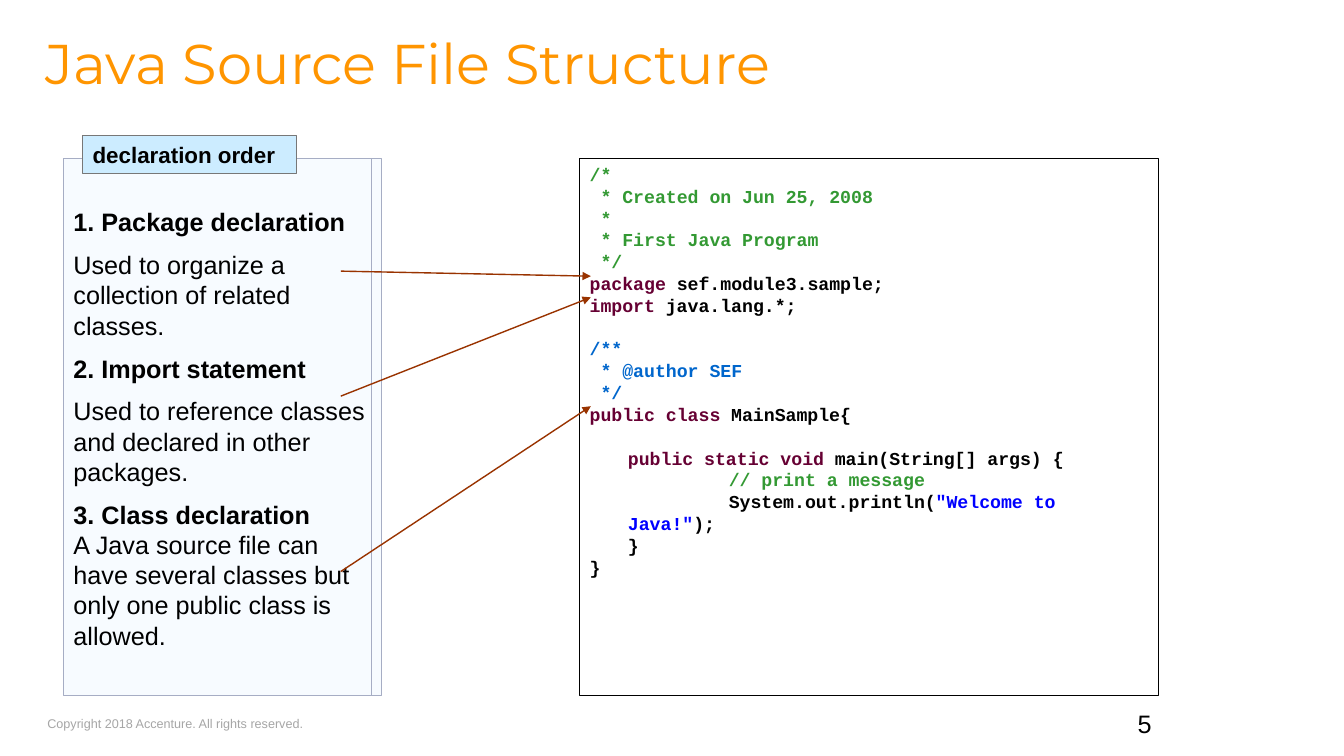
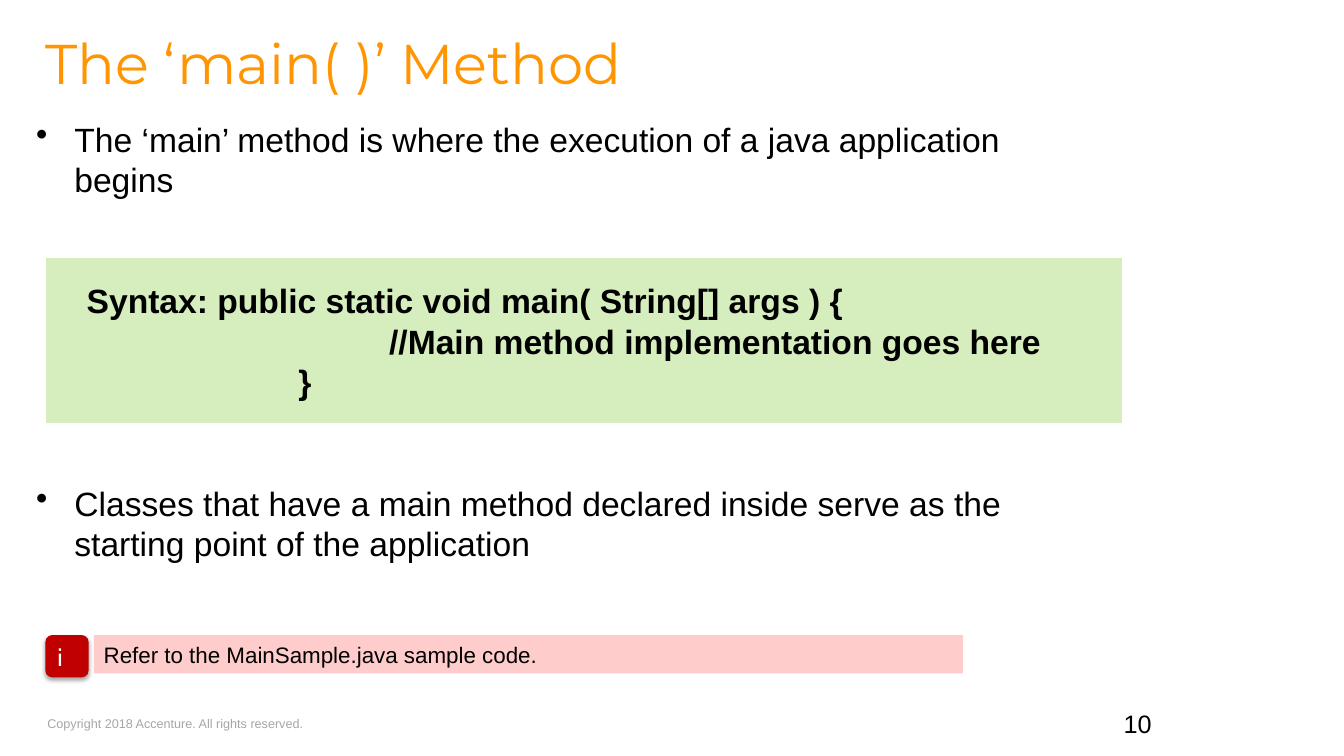
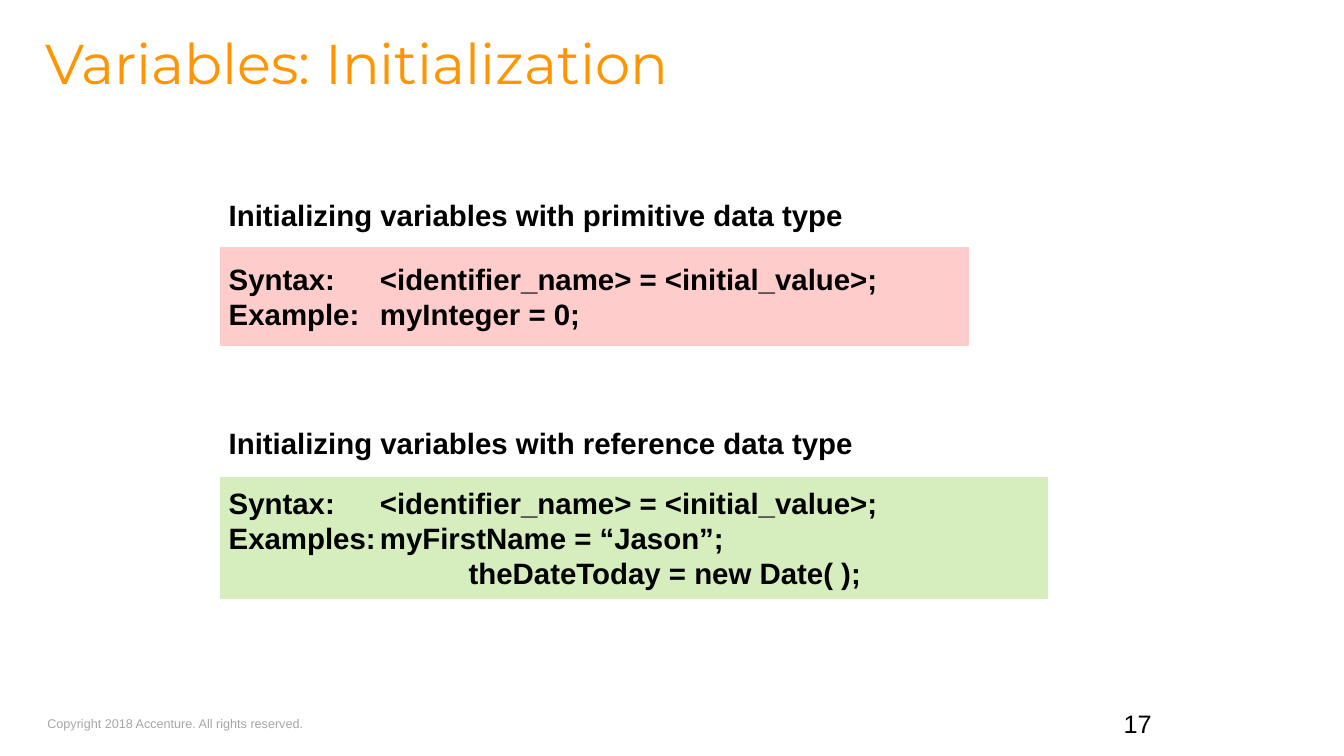
from pptx import Presentation
from pptx.dml.color import RGBColor
from pptx.enum.shapes import MSO_CONNECTOR, MSO_SHAPE
from pptx.enum.text import MSO_ANCHOR, PP_ALIGN
from pptx.oxml.ns import qn
from pptx.util import Inches, Pt
from lxml import etree

RECT = MSO_SHAPE.RECTANGLE
ROUNDED = MSO_SHAPE.ROUNDED_RECTANGLE
CALLOUT = MSO_SHAPE.LINE_CALLOUT_1_BORDER_AND_ACCENT_BAR
STRAIGHT = MSO_CONNECTOR.STRAIGHT
TOP, MIDDLE, BOTTOM = MSO_ANCHOR.TOP, MSO_ANCHOR.MIDDLE, MSO_ANCHOR.BOTTOM
LEFT, RIGHT = PP_ALIGN.LEFT, PP_ALIGN.RIGHT

COLORS = {
    "title": "FF9500", "footer": "A6A6A6", "text": "000000", "white": "FFFFFF",
    "panel": "F7FBFF", "panel_edge": "A6ADC4", "label": "CCECFF", "label_edge": "777777",
    "arrow": "993300", "green": "D6EDBD", "pink": "FFCCCC", "red": "C00000",
    "comment": "339933", "keyword": "660033", "javadoc": "0066CC", "string": "0000FF",
}
GRID = Inches(0.1)
LEADING = 1.2


def place(slide, left, top, width, height, kind=None, fill=None, edge=None, weight=1,
          anchor=TOP, insets=(1, 0.5, 1, 0.5)):
    spot = [round(n * GRID) for n in (left, top, width, height)]
    if kind is None:
        item = slide.shapes.add_textbox(*spot)
    else:
        item = slide.shapes.add_shape(kind, *spot)
        item.shadow.inherit = False
        if fill:
            item.fill.solid()
            item.fill.fore_color.rgb = RGBColor.from_string(COLORS[fill])
        else:
            item.fill.background()
        if edge:
            item.line.color.rgb = RGBColor.from_string(COLORS[edge])
            item.line.width = Pt(weight)
        else:
            item.line.fill.background()
    frame = item.text_frame
    frame.word_wrap = True
    frame.vertical_anchor = anchor
    (frame.margin_left, frame.margin_top,
     frame.margin_right, frame.margin_bottom) = [round(n * GRID) for n in insets]
    return item


def write(frame, text, size=18, font="Arial", color="text", bold=False, align=LEFT,
          margin=0, indent=0, before=0, spacing=None, bullet=None, tab=None):
    paragraph = frame.paragraphs[0]
    if paragraph.runs:
        paragraph = frame.add_paragraph()
    paragraph.alignment = align
    paragraph.line_spacing = spacing or Pt(size * LEADING)
    paragraph.space_before = Pt(before)
    properties = paragraph._p.get_or_add_pPr()
    properties.set("marL", str(round(margin * GRID)))
    properties.set("indent", str(round(indent * GRID)))
    if bullet:
        etree.SubElement(properties, qn("a:buChar"), char=bullet)
    if tab:
        stops = etree.SubElement(properties, qn("a:tabLst"))
        etree.SubElement(stops, qn("a:tab"), pos=str(round(tab * GRID)), algn="l")
    for words, shade in [(text, color)] if isinstance(text, str) else text:
        run = paragraph.add_run()
        run.text = words
        run.font.size = Pt(size)
        run.font.name = font
        run.font.bold = bold
        run.font.color.rgb = RGBColor.from_string(COLORS[shade])


deck = Presentation()
deck.slide_width, deck.slide_height = Inches(13.33), Inches(7.5)
blank = deck.slide_layouts[6]

pages = []
for title, number in [("Java Source File Structure", "5"),
                      ("The ‘main( )’ Method", "10"),
                      ("Variables: Initialization", "17")]:
    page = deck.slides.add_slide(blank)
    copyright_line = place(page, 4.7, 70.5, 25.7, 2.5, insets=(0, 0.5, 0, 0.5))
    write(copyright_line.text_frame, "Copyright 2018 Accenture. All rights reserved.",
          size=9, color="footer")
    page_number = place(page, 96.7, 70.8, 18.5, 3, anchor=BOTTOM)
    write(page_number.text_frame, number, align=RIGHT)
    heading = place(page, 4.5, 4.1, 83.2, 10.9, insets=(0, 0, 0, 0))
    write(heading.text_frame, title, size=40, font="Montserrat", color="title", spacing=0.8)
    pages.append(page)
structure, main_method, variables = pages

source = place(structure, 57.5, 15.7, 57.4, 53.3, RECT, edge="text")
code_size = 13
code_gap = code_size * LEADING
for text, margin, indent, before in [
    ([("/*", "comment")], 0, 0, 0),
    ([(" * Created on Jun 25, 2008", "comment")], 0, 0, 0),
    ([(" *", "comment")], 0, 0, 0),
    ([(" * First Java Program", "comment")], 0, 0, 0),
    ([(" */", "comment")], 0, 0, 0),
    ([("package", "keyword"), (" sef.module3.sample;", "text")], 0, 0, 0),
    ([("import", "keyword"), (" java.lang.*;", "text")], 0, 0, 0),
    ([("/**", "javadoc")], 0, 0, code_gap),
    ([(" * @author SEF", "javadoc")], 0, 0, 0),
    ([(" */", "javadoc")], 0, 0, 0),
    ([("public class", "keyword"), (" MainSample{", "text")], 0, 0, 0),
    ([("public static void", "keyword"), (" main(String[] args) {", "text")], 3.8, 0, code_gap),
    ([("// print a message", "comment")], 3.8, 10, 0),
    ([("System.out.println(", "text"), ("\"Welcome to Java!\"", "string"), (");", "text")],
     3.8, 10, 0),
    ([("}", "text")], 3.8, 0, 0),
    ([("}", "text")], 0, 0, 0),
]:
    write(source.text_frame, text, size=code_size, font="Courier New", bold=True,
          margin=margin, indent=indent, before=before)

order = place(structure, 6.3, 15.7, 31.5, 53.3, CALLOUT, fill="panel", edge="panel_edge",
              weight=0.75, insets=(1, 4.8, 1, 0.5))
for position, share in enumerate((0.03, 0.97, 0.03, 0.97)):
    order.adjustments[position] = share
panel_color = order._element.spPr.find(qn("a:solidFill")).find(qn("a:srgbClr"))
etree.SubElement(panel_color, qn("a:alpha"), val="90000")
for text, bold, before in [
    ("1. Package declaration", True, 0),
    ("Used to organize a collection of related classes.", False, 9),
    ("2. Import statement", True, 9),
    ("Used to reference classes and declared in other packages.", False, 9),
    ("3. Class declaration", True, 9),
    ("A Java source file can have several classes but only one public class is allowed.",
     False, 0),
]:
    write(order.text_frame, text, bold=bold, before=before)

order_label = place(structure, 8.2, 13.4, 21.2, 3.8, RECT, fill="label", edge="label_edge",
                    weight=0.75, anchor=MIDDLE)
write(order_label.text_frame, "declaration order", size=16, bold=True)

for start, end in [(26.9, 27.4), (39.3, 29.5), (56.7, 40.3)]:
    arrow = structure.shapes.add_connector(
        STRAIGHT, *[round(n * GRID) for n in (33.8, start, 58.6, end)])
    arrow.line.color.rgb = RGBColor.from_string(COLORS["arrow"])
    arrow.line.width = Pt(1)
    etree.SubElement(arrow.line._get_or_add_ln(), qn("a:tailEnd"), type="triangle")
    etree.SubElement(arrow._element.spPr, qn("a:effectLst"))

syntax = place(main_method, 4.5, 25.5, 106.9, 16.6, RECT, fill="green", edge="white",
               weight=1.5, anchor=MIDDLE, insets=(4.1, 0.5, 1, 0.5))
for text, margin in [("Syntax: public static void main( String[] args ) {", 0),
                     ("//Main method implementation goes here", 30),
                     ("}", 21)]:
    write(syntax.text_frame, text, size=24, bold=True, margin=margin)

for text, top in [
    ("The ‘main’ method is where the execution of a java application begins", 11.3),
    ("Classes that have a main method declared inside serve as the starting point of the "
     "application", 47.4),
]:
    point = place(main_method, 2.6, top, 102.4, 9)
    write(point.text_frame, text, size=24, margin=3.8, indent=-3.8, bullet="•")

reference = place(main_method, 9.3, 63, 86.2, 3.8, RECT, fill="pink", anchor=MIDDLE)
write(reference.text_frame, "Refer to the MainSample.java sample code.", size=16)

info = place(main_method, 4.5, 63, 4.3, 4.2, ROUNDED, fill="red", anchor=MIDDLE)
write(info.text_frame, "i", font="Cabin", color="white")
shadow = etree.SubElement(info._element.spPr.find(qn("a:effectLst")), qn("a:outerShdw"),
                          blurRad=str(Pt(3.1)), dist=str(Pt(1.8)), dir="5400000",
                          rotWithShape="0")
shadow_color = etree.SubElement(shadow, qn("a:srgbClr"), val=COLORS["text"])
etree.SubElement(shadow_color, qn("a:alpha"), val="35000")

for caption, caption_top, caption_width, top, width, height, fill, lines in [
    ("Initializing variables with primitive data type", 18.8, 65.3, 24.4, 74.5, 10, "pink",
     [("Syntax:\t<identifier_name> = <initial_value>;", 14.6, 0),
      ("Example:\tmyInteger = 0;", 21, 0)]),
    ("Initializing variables with reference data type", 41.4, 76.6, 47.2, 82.4, 12.3, "green",
     [("Syntax:\t<identifier_name> = <initial_value>;", 13.7, 0),
      ("Examples:\tmyFirstName = “Jason”;", 23.8, 0),
      ("theDateToday = new Date( );", None, 23.8)]),
]:
    sample = place(variables, 21.7, top, width, height, RECT, fill=fill, edge="white",
                   weight=1.5, anchor=MIDDLE)
    for text, tab, margin in lines:
        write(sample.text_frame, text, size=21, bold=True, tab=tab, margin=margin)
    kind_caption = place(variables, 21.7, caption_top, caption_width, 5, RECT, fill="white",
                         edge="white", weight=1.5, anchor=MIDDLE)
    write(kind_caption.text_frame, caption, size=21, bold=True)

deck.save("out.pptx")
